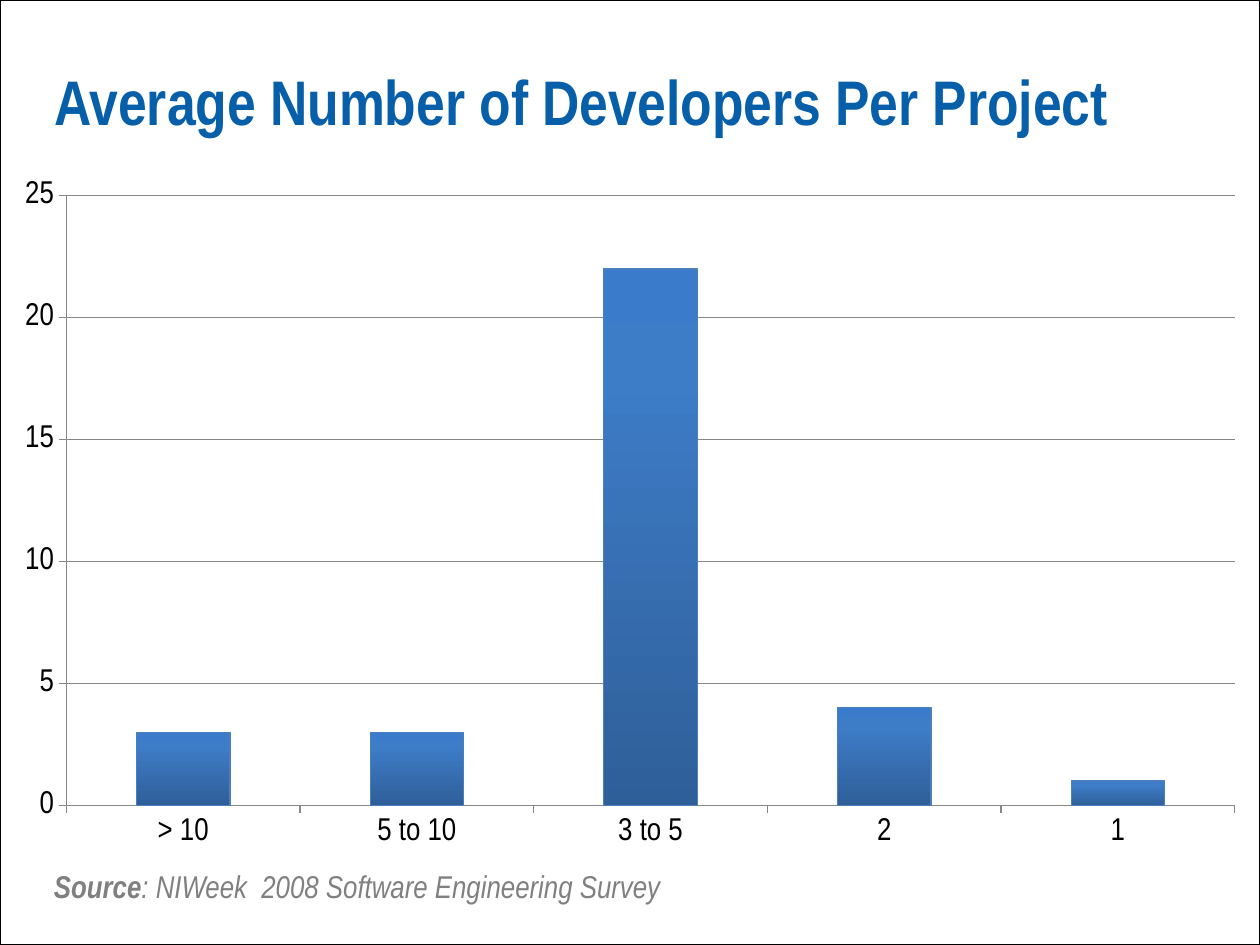
from copy import deepcopy
from dataclasses import dataclass

from pptx import Presentation
from pptx.chart.data import CategoryChartData as ChartData
from pptx.dml.color import RGBColor as RGB
from pptx.enum.chart import XL_CHART_TYPE as ChartType, XL_TICK_MARK as Tick
from pptx.enum.shapes import MSO_SHAPE as Shape
from pptx.enum.text import MSO_ANCHOR as Anchor, PP_ALIGN as Align
from pptx.util import Inches, Pt


@dataclass(frozen=True)
class Theme:
    """Colours, font and type sizes of the slide."""
    face: str = "Arial Narrow"
    title: str = "065FA8"
    text: str = "000000"
    source: str = "808080"
    page: str = "FFFFFF"
    grid: str = "868686"
    edge: str = "4B7EBC"
    bar: tuple = ((0, "2F5F99"), (0.8, "3D7CC7"), (1, "3A7CCB"))
    large: int = 36
    small: int = 18


THEME = Theme()


def rgb(code):
    """Turn a hex code into a colour."""
    return RGB.from_string(code)


def style(font, size, color, bold=False, italic=False):
    """Set the look of a font."""
    font.name, font.size = THEME.face, Pt(size)
    font.bold, font.italic = bold, italic
    font.color.rgb = rgb(color)


def rule(line, color):
    """Give a line its colour and the common width."""
    line.color.rgb = rgb(color)
    line.width = Pt(0.75)


def place(shape, left, top, width, height):
    """Move and size a shape in inches."""
    shape.left, shape.top = Inches(left), Inches(top)
    shape.width, shape.height = Inches(width), Inches(height)


def add_frame(slide, width, height):
    """Draw the outlined page behind everything else."""
    frame = slide.shapes.add_shape(Shape.RECTANGLE, 0, 0, width, height)
    frame.shadow.inherit = False
    frame.fill.solid()
    frame.fill.fore_color.rgb = rgb(THEME.page)
    rule(frame.line, THEME.text)
    slide.shapes._spTree.insert(2, frame._element)


def set_title(slide, text):
    """Fill and format the title placeholder."""
    title = slide.shapes.title
    place(title, 0.33, 0.42, 9.25, 0.75)
    frame = title.text_frame
    frame.text = text
    frame.vertical_anchor = Anchor.MIDDLE
    para = frame.paragraphs[0]
    para.alignment = Align.LEFT
    style(para.font, THEME.large, THEME.title, bold=True)


def shade(series):
    """Fill the bars with a gradient that runs upwards."""
    fill = series.format.fill
    fill.gradient()
    fill.gradient_angle = 90
    first = series._element.xpath(".//a:gs")[0]
    first.addnext(deepcopy(first))
    for stop, (pos, color) in zip(fill.gradient_stops, THEME.bar):
        stop.position = pos
        stop.color.rgb = rgb(color)
    rule(series.format.line, THEME.edge)


def add_bars(slide, cats, vals):
    """Add the column chart."""
    data = ChartData()
    data.categories = cats
    data.add_series("Series 1", vals)
    chart = slide.shapes.add_chart(
        ChartType.COLUMN_CLUSTERED,
        Inches(0), Inches(1.33), Inches(10), Inches(5.5), data).chart
    chart.has_title = chart.has_legend = False
    style(chart.font, THEME.small, THEME.text)
    for axis in (chart.category_axis, chart.value_axis):
        axis.major_tick_mark, axis.minor_tick_mark = Tick.OUTSIDE, Tick.NONE
        rule(axis.format.line, THEME.grid)
    scale = chart.value_axis
    scale.minimum_scale, scale.maximum_scale, scale.major_unit = 0, 25, 5
    scale.has_major_gridlines = True
    rule(scale.major_gridlines.format.line, THEME.grid)
    plot = chart.plots[0]
    plot.gap_width, plot.vary_by_categories = 150, False
    shade(plot.series[0])


def add_source(slide, label, text):
    """Add the source line with its bold label."""
    box = slide.shapes.add_textbox(
        Inches(0.33), Inches(6.83), Inches(7), Inches(0.4))
    box.text_frame.word_wrap = True
    para = box.text_frame.paragraphs[0]
    style(para.font, THEME.small, THEME.source, italic=True)
    head = para.add_run()
    head.text = label
    head.font.bold = True
    para.add_run().text = text


def main():
    """Build and save the slide."""
    deck = Presentation()
    deck.slide_width, deck.slide_height = Inches(10), Inches(7.5)
    slide = deck.slides.add_slide(deck.slide_layouts[5])
    add_frame(slide, deck.slide_width, deck.slide_height)
    set_title(slide, "Average Number of Developers Per Project")
    add_bars(slide, ["> 10", "5 to 10", "3 to 5", "2", "1"], [3, 3, 22, 4, 1])
    add_source(slide, "Source", ": NIWeek  2008 Software Engineering Survey")
    deck.save("out.pptx")


if __name__ == "__main__":
    main()
